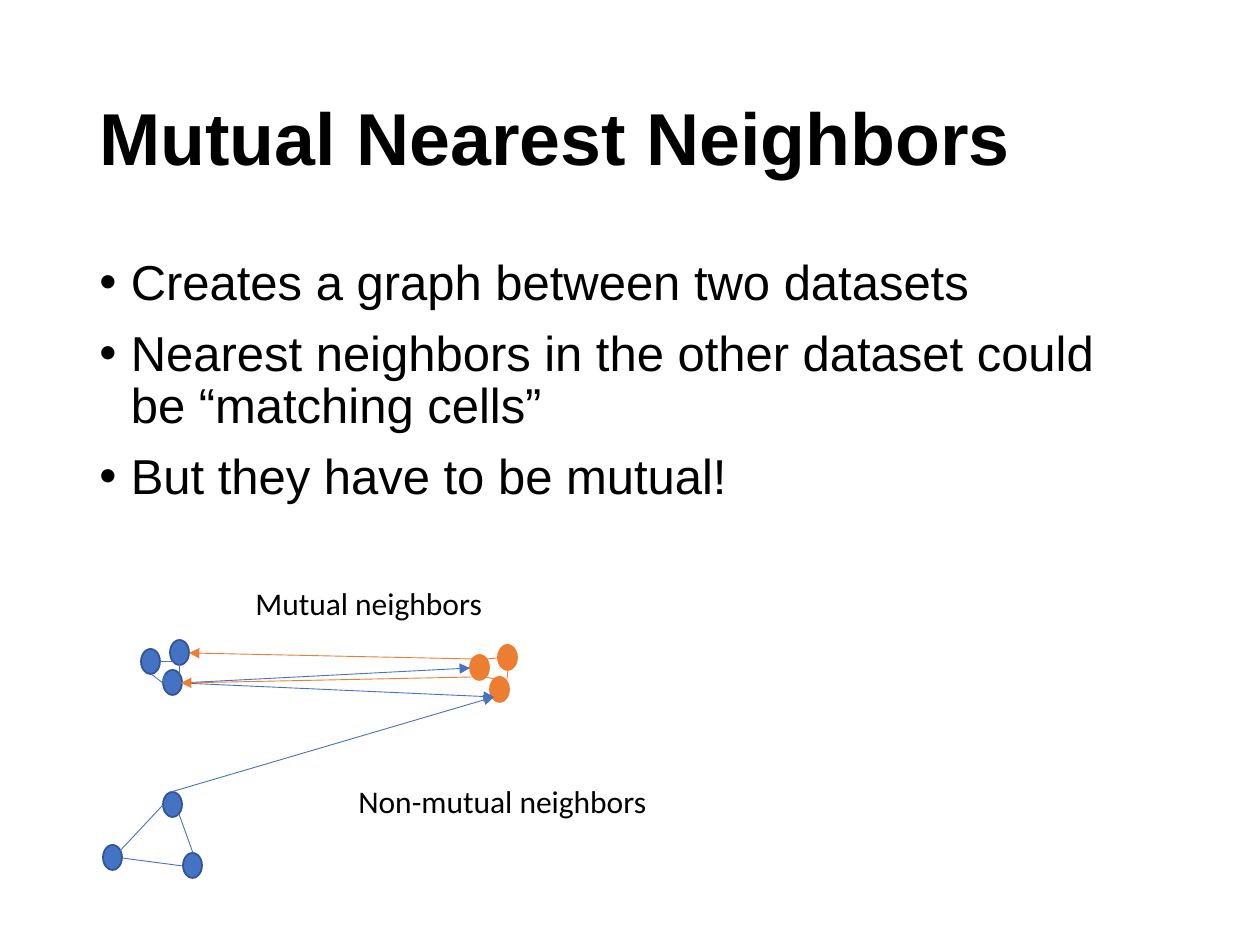
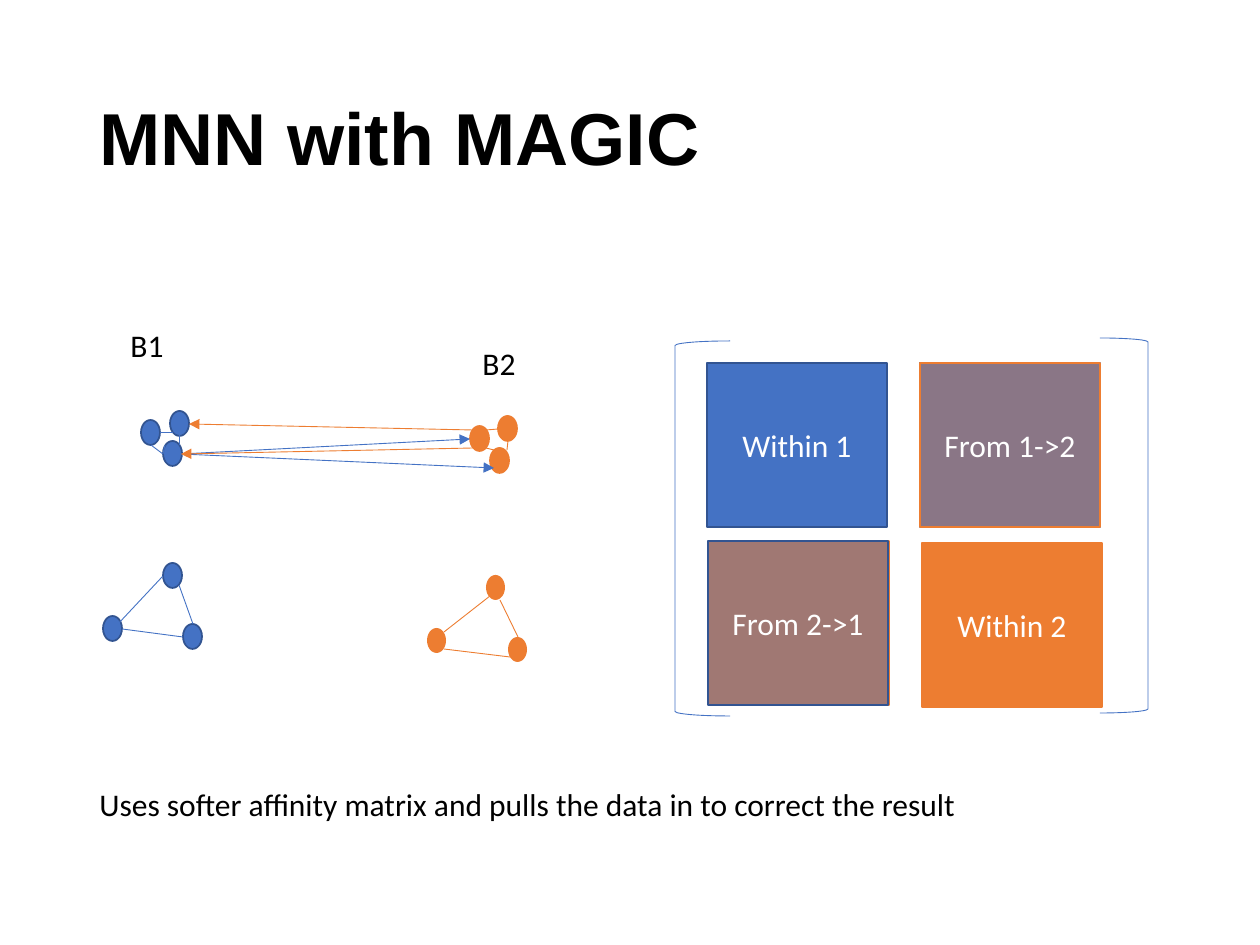
from dataclasses import dataclass
from typing import Optional

import pptx
import pptx.dml.color
import pptx.enum.shapes
import pptx.enum.text
import pptx.oxml
import pptx.oxml.ns
import pptx.util
from lxml import etree

EMU_PER_PX = 914400 / 126
BLUE, NAVY, ORANGE = "4472C4", "325491", "ED7D31"
BLACK, WHITE = "000000", "FFFFFF"
HEADING_FONT, LABEL_FONT = "Arial", "Calibri"
NODE_WIDTH, NODE_HEIGHT = 19, 25
TILE_WIDTH, TILE_HEIGHT = 180, 164
SHAPES = pptx.enum.shapes.MSO_SHAPE
ANCHOR = pptx.enum.text.MSO_ANCHOR


@dataclass(frozen=True)
class Node:
    x: int
    y: int
    fill: str
    outline: Optional[str]


@dataclass(frozen=True)
class Link:
    x1: int
    y1: int
    x2: int
    y2: int
    color: str
    arrow: bool = False


@dataclass(frozen=True)
class Tile:
    x: int
    y: int
    fill: str
    outline: str
    text: str = ""
    opacity: int = 100


@dataclass(frozen=True)
class Label:
    x: int
    y: int
    width: int
    text: str


@dataclass(frozen=True)
class Bracket:
    kind: int
    x: int
    y: int
    width: int


SHARED_NODES = [
    *(Node(x, y, BLUE, NAVY) for x, y in
      [(141, 9), (163, 152), (163, 30), (170, 0), (183, 213), (103, 205)]),
    *(Node(x, y, ORANGE, ORANGE) for x, y in [(470, 15), (490, 37), (498, 5)]),
]
SHARED_LINKS = [
    Link(160, 21, 173, 21, BLUE),
    Link(179, 24, 179, 34, BLUE),
    Link(165, 34, 163, 43, BLUE),
    Link(151, 34, 163, 43, BLUE),
    Link(118, 213, 163, 165, BLUE),
    Link(179, 174, 193, 213, BLUE),
    Link(122, 218, 183, 226, BLUE),
    Link(486, 19, 498, 18, ORANGE),
    Link(507, 39, 508, 30, ORANGE),
    Link(494, 39, 486, 37, ORANGE),
    Link(181, 43, 470, 28, BLUE, True),
    Link(181, 43, 494, 57, BLUE, True),
    Link(473, 19, 189, 13, ORANGE, True),
    Link(473, 37, 181, 43, ORANGE, True),
]
NON_MUTUAL_LINK = Link(171, 152, 494, 57, BLUE, True)
SECOND_BATCH_NODES = [Node(x, y, ORANGE, None)
                      for x, y in [(486, 164), (508, 226), (427, 217)]]
SECOND_BATCH_LINKS = [
    Link(444, 221, 490, 185, ORANGE),
    Link(500, 189, 518, 226, ORANGE),
    Link(444, 238, 510, 246, ORANGE),
]
BULLETS = [
    "Creates a graph between two datasets",
    "Nearest neighbors in the other dataset could be “matching cells”",
    "But they have to be mutual!",
]
NEIGHBOR_LABELS = [
    Label(243, 578, 255, "Mutual neighbors"),
    Label(346, 776, 318, "Non-mutual neighbors"),
]
BATCH_LABELS = [
    Label(118, 320, 59, "B1"),
    Label(470, 338, 59, "B2"),
    Label(87, 779, 908,
          "Uses softer affinity matrix and pulls the data in to correct the result"),
]
BRACKETS = [
    Bracket(SHAPES.LEFT_BRACKET, 675, 341, 55),
    Bracket(SHAPES.RIGHT_BRACKET, 1100, 338, 48),
]
TILES = [
    Tile(709, 541, ORANGE, ORANGE),
    Tile(707, 363, BLUE, NAVY, "Within 1"),
    Tile(922, 543, ORANGE, ORANGE, "Within 2"),
    Tile(920, 363, BLUE, NAVY),
    Tile(708, 541, BLUE, NAVY, "From 2->1", 45),
    Tile(920, 363, ORANGE, ORANGE, "From 1->2", 42),
]


def px(length: int) -> int:
    return pptx.util.Emu(round(length * EMU_PER_PX))


def rgb(value: str) -> pptx.dml.color.RGBColor:
    return pptx.dml.color.RGBColor.from_string(value)


def add_element(parent, tag: str, **attributes: str):
    element = etree.SubElement(parent, pptx.oxml.ns.qn(tag))
    for name, value in attributes.items():
        element.set(name, value)
    return element


def style_font(para, name: str, size: int, color: str, bold: bool = False) -> None:
    para.font.name = name
    para.font.size = pptx.util.Pt(size)
    para.font.bold = bold
    para.font.color.rgb = rgb(color)


def add_box(page, x: int, y: int, width: int, height: int):
    return page.shapes.add_textbox(px(x), px(y), px(width), px(height))


def add_title(page, text: str) -> None:
    frame = add_box(page, 87, 50, 1086, 183).text_frame
    frame.word_wrap = True
    frame.vertical_anchor = ANCHOR.MIDDLE
    para = frame.paragraphs[0]
    para.text = text
    para.line_spacing = 0.9
    style_font(para, HEADING_FONT, 42, BLACK, True)


def add_bullets(page, lines: list[str]) -> None:
    frame = add_box(page, 87, 252, 1086, 600).text_frame
    frame.word_wrap = True
    for index, line in enumerate(lines):
        para = frame.add_paragraph() if index else frame.paragraphs[0]
        para.text = line
        para.line_spacing = 0.9
        para.space_before = pptx.util.Pt(10 if index else 0)
        properties = para._p.get_or_add_pPr()
        indent = pptx.util.Inches(0.25)
        properties.set("marL", str(indent))
        properties.set("indent", str(-indent))
        add_element(properties, "a:buFont", typeface=HEADING_FONT)
        add_element(properties, "a:buChar", char="•")
        style_font(para, HEADING_FONT, 28, BLACK)


def add_label(page, label: Label) -> None:
    frame = add_box(page, label.x, label.y, label.width, 50).text_frame
    frame.word_wrap = False
    frame.auto_size = pptx.enum.text.MSO_AUTO_SIZE.SHAPE_TO_FIT_TEXT
    frame.paragraphs[0].text = label.text
    style_font(frame.paragraphs[0], LABEL_FONT, 18, BLACK)


def add_shape(page, kind: int, x: int, y: int, width: int, height: int,
              fill: Optional[str], outline: Optional[str], weight: float = 1):
    shape = page.shapes.add_shape(kind, px(x), px(y), px(width), px(height))
    shape.shadow.inherit = False
    if fill:
        shape.fill.solid()
        shape.fill.fore_color.rgb = rgb(fill)
    else:
        shape.fill.background()
    if outline:
        shape.line.color.rgb = rgb(outline)
        shape.line.width = pptx.util.Pt(weight)
    else:
        shape.line.fill.background()
    return shape


def add_link(page, link: Link, top: int) -> None:
    connector = page.shapes.add_connector(
        pptx.enum.shapes.MSO_CONNECTOR.STRAIGHT,
        px(link.x1), px(top + link.y1), px(link.x2), px(top + link.y2))
    connector.line.color.rgb = rgb(link.color)
    connector.line.width = pptx.util.Pt(0.5)
    if link.arrow:
        add_element(connector.line._get_or_add_ln(), "a:tailEnd", type="triangle")
    add_element(connector._element.spPr, "a:effectLst")


def add_graph(page, top: int, nodes: list[Node], links: list[Link]) -> None:
    for node in nodes:
        add_shape(page, SHAPES.OVAL, node.x, top + node.y, NODE_WIDTH, NODE_HEIGHT,
                  node.fill, node.outline)
    for link in links:
        add_link(page, link, top)


def add_tile(page, tile: Tile) -> None:
    shape = add_shape(page, SHAPES.RECTANGLE, tile.x, tile.y, TILE_WIDTH, TILE_HEIGHT,
                      tile.fill, tile.outline)
    if tile.opacity < 100:
        color = shape._element.spPr.find(pptx.oxml.ns.qn("a:solidFill"))[0]
        add_element(color, "a:alpha", val=str(tile.opacity * 1000))
    if tile.text:
        shape.text_frame.vertical_anchor = ANCHOR.MIDDLE
        para = shape.text_frame.paragraphs[0]
        para.text = tile.text
        para.alignment = pptx.enum.text.PP_ALIGN.CENTER
        style_font(para, LABEL_FONT, 18, WHITE)


def add_page(deck, title: str):
    page = deck.slides.add_slide(deck.slide_layouts[6])
    add_title(page, title)
    return page


def build_neighbors(deck) -> None:
    page = add_page(deck, "Mutual Nearest Neighbors")
    add_bullets(page, BULLETS)
    add_graph(page, 640, SHARED_NODES, SHARED_LINKS + [NON_MUTUAL_LINK])
    for label in NEIGHBOR_LABELS:
        add_label(page, label)


def build_magic(deck) -> None:
    page = add_page(deck, "MNN with MAGIC")
    add_graph(page, 411, SHARED_NODES + SECOND_BATCH_NODES,
              SHARED_LINKS + SECOND_BATCH_LINKS)
    for bracket in BRACKETS:
        add_shape(page, bracket.kind, bracket.x, bracket.y, bracket.width, 375,
                  None, BLUE, 0.5)
    for tile in TILES:
        add_tile(page, tile)
    for label in BATCH_LABELS:
        add_label(page, label)


def main() -> None:
    deck = pptx.Presentation()
    deck.slide_width, deck.slide_height = px(1260), px(945)
    build_neighbors(deck)
    build_magic(deck)
    deck.save("out.pptx")


if __name__ == "__main__":
    main()
